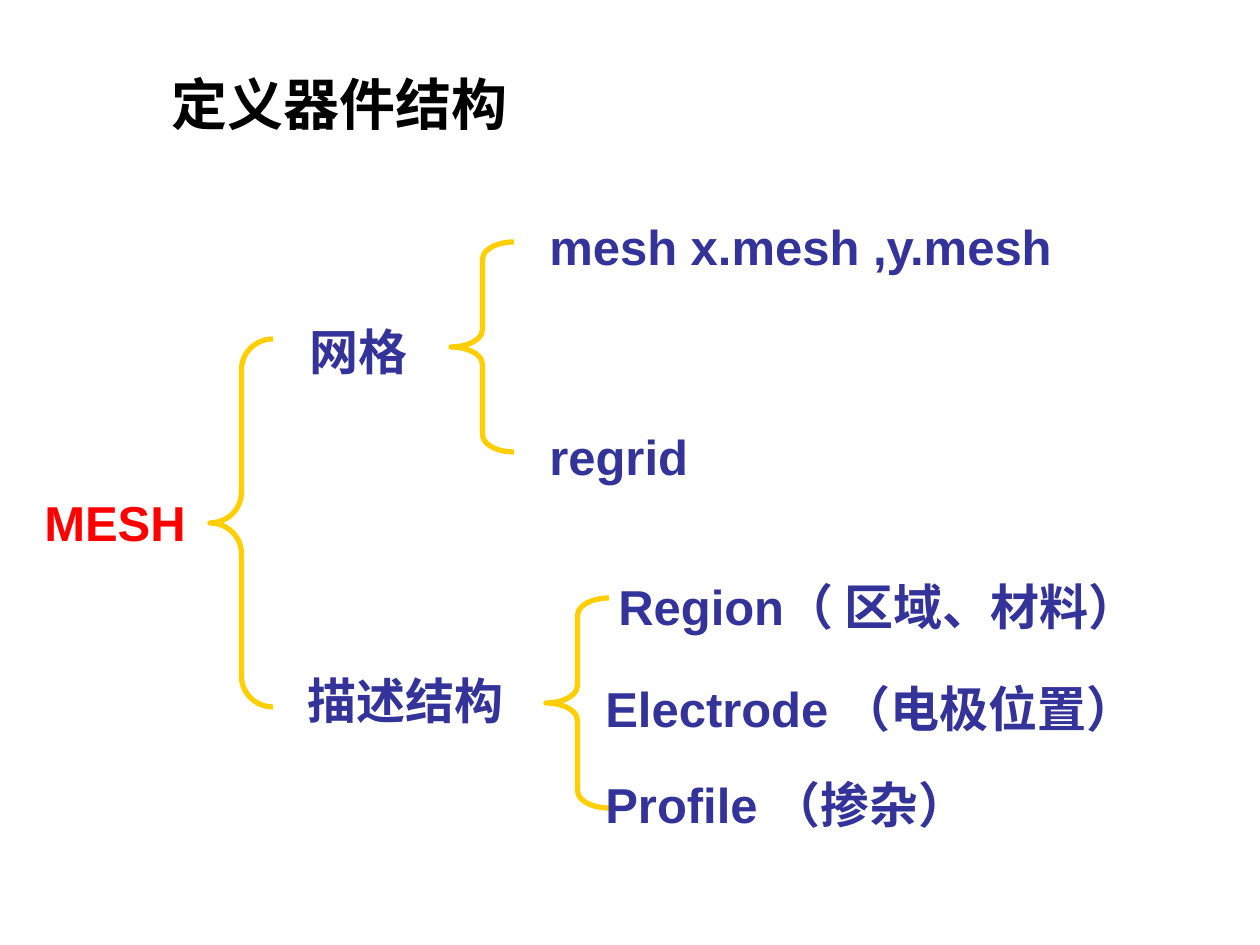
from pptx import Presentation
from pptx.dml.color import RGBColor
from pptx.enum.shapes import MSO_SHAPE
from pptx.enum.text import MSO_ANCHOR, MSO_AUTO_SIZE, PP_ALIGN
from pptx.util import Emu, Pt

HUES = {"ink": "000000", "root": "FF0000", "node": "333399", "brace": "FFCF01"}
ROW = 72
ARM = 63


def px(num):
    """Turn px into EMU at 126 px to the inch."""
    return Emu(round(num * 914400 / 126))


def write(slide, text, x, y, w, h=ROW, size=28, font="Arial", hue="node"):
    """Place one line of bold text, with slack at its right edge."""
    frame = slide.shapes.add_textbox(px(x), px(y), px(w), px(h)).text_frame
    frame.word_wrap = True
    frame.auto_size = MSO_AUTO_SIZE.NONE
    frame.margin_right = 0
    frame.vertical_anchor = MSO_ANCHOR.TOP
    para = frame.paragraphs[0]
    para.alignment = PP_ALIGN.LEFT
    run = para.add_run()
    run.text = text
    run.font.name = font
    run.font.size = Pt(size)
    run.font.bold = True
    run.font.color.rgb = RGBColor.from_string(HUES[hue])


def brace(slide, x, y, h):
    """Draw a left brace whose curves are a twelfth of its height."""
    shape = slide.shapes.add_shape(MSO_SHAPE.LEFT_BRACE, px(x), px(y), px(ARM), px(h))
    shape.adjustments[0] = h / 12 / ARM
    shape.adjustments[1] = 0.5
    shape.shadow.inherit = False
    shape.fill.background()
    shape.line.color.rgb = RGBColor.from_string(HUES["brace"])
    shape.line.width = Pt(3)


def title(slide, x, y, w, h):
    """Place the slide title in its box."""
    write(slide, "定义器件结构", x, y, w, h, size=32, font="Lato", hue="ink")


def root(slide, x, y):
    """Place the root word and the brace that spans both branches."""
    write(slide, "MESH", x, y + 147, 166, hue="root")
    brace(slide, x + 178, y, 368)


def branch(slide, x, y, head, arm, leaves):
    """Place a branch name, its brace and its leaves."""
    name, drop, width = head
    write(slide, name, x, y + drop, width)
    brace(slide, x + arm[0], y + arm[1], 210)
    for text, left, top, wide in leaves:
        write(slide, text, x + left, y + top, wide)


def main():
    """Build the slide and save it."""
    deck = Presentation()
    deck.slide_width, deck.slide_height = px(1260), px(945)
    slide = deck.slides.add_slide(deck.slide_layouts[6])
    title(slide, 159, 63, 902, 107)
    root(slide, 32, 339)
    branch(slide, 297, 210, ("网格", 105, 122), (154, 32), [
        ("mesh x.mesh ,y.mesh", 240, 0, 530),
        ("regrid", 240, 210, 164),
    ])
    branch(slide, 295, 570, ("描述结构", 94, 221), (251, 28), [
        ("Region（ 区域、材料）", 311, 0, 556),
        ("Electrode （电极位置）", 298, 102, 567),
        ("Profile （掺杂）", 298, 198, 398),
    ])
    deck.save("out.pptx")


if __name__ == "__main__":
    main()
